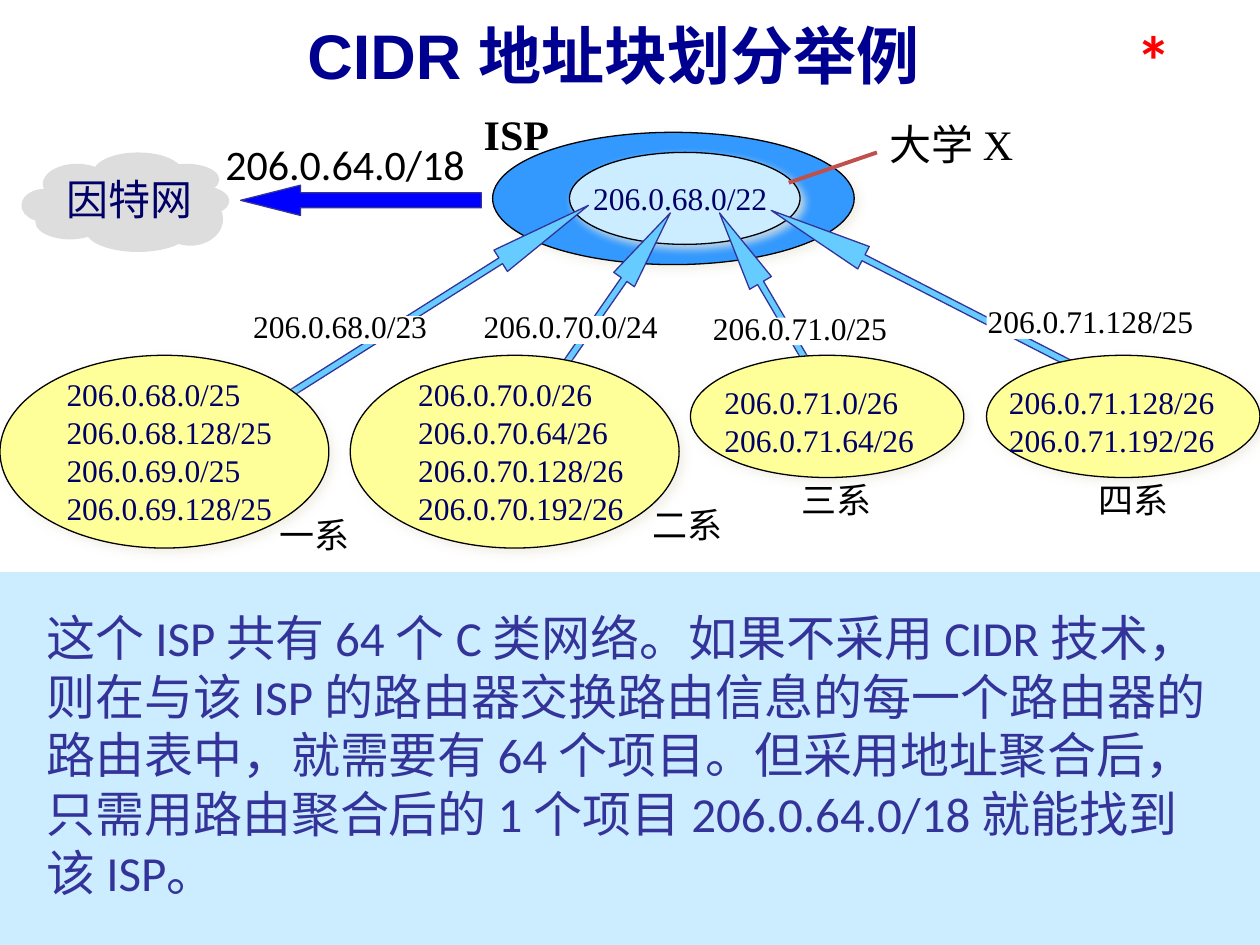
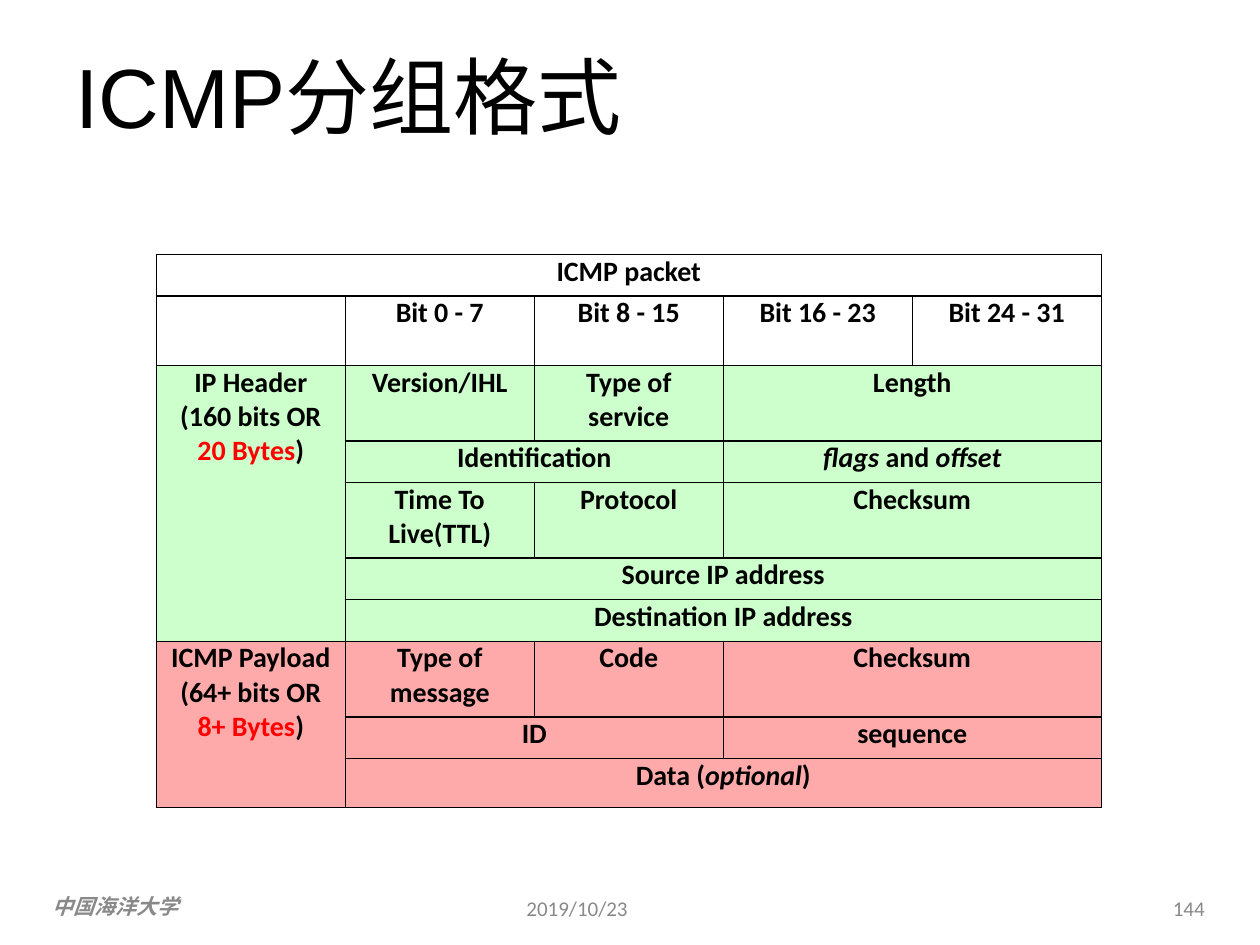
from dataclasses import dataclass
from math import atan2, degrees, hypot
from typing import NamedTuple

from lxml import etree
from pptx import Presentation
from pptx.dml.color import RGBColor
from pptx.enum.shapes import MSO_CONNECTOR, MSO_SHAPE
from pptx.enum.text import MSO_ANCHOR, MSO_AUTO_SIZE, PP_ALIGN
from pptx.oxml.ns import qn
from pptx.util import Inches, Pt

OVAL, RECT, ARROW = MSO_SHAPE.OVAL, MSO_SHAPE.RECTANGLE, MSO_SHAPE.LEFT_ARROW
LEFT, CENTER, RIGHT = PP_ALIGN.LEFT, PP_ALIGN.CENTER, PP_ALIGN.RIGHT
TOP, MIDDLE = MSO_ANCHOR.TOP, MSO_ANCHOR.MIDDLE

BLACK = RGBColor(0, 0, 0)
WHITE = RGBColor(255, 255, 255)
RED = RGBColor(255, 0, 0)
BLUE = RGBColor(0, 0, 255)
TITLE_NAVY = RGBColor(0, 0, 0x90)
NAVY = RGBColor(0, 0, 0x66)
INDIGO = RGBColor(0x33, 0x33, 0x99)
ISP_BLUE = RGBColor(0x33, 0x99, 0xFF)
PALE_BLUE = RGBColor(0xCC, 0xEC, 0xFF)
SKY = RGBColor(0x66, 0xCC, 0xFF)
YELLOW = RGBColor(0xFF, 0xFF, 0x99)
BRICK = RGBColor(0xC0, 0x50, 0x4D)
CLOUD_GREY = RGBColor(0xDD, 0xDD, 0xDD)
GREEN = RGBColor(0xCC, 0xFF, 0xCC)
PINK = RGBColor(0xFF, 0xAA, 0xAA)
FOOT_GREY = RGBColor(0x89, 0x89, 0x89)
SHADOW = "EEECE1"

SANS, SERIF, BODY = "Arial", "Times New Roman", "Calibri"

# The slide is a grid of 100 columns by 75 rows
WIDTH, HEIGHT = Inches(10), Inches(7.5)
COL, ROW = WIDTH / 100, HEIGHT / 75


class Box(NamedTuple):
    x: float
    y: float
    w: float
    h: float

    def place(self) -> tuple[int, int, int, int]:
        return (round(self.x * COL), round(self.y * ROW),
                round(self.w * COL), round(self.h * ROW))


class Point(NamedTuple):
    x: float
    y: float


@dataclass(frozen=True)
class Style:
    size: float
    color: RGBColor = BLACK
    font: str = SERIF
    bold: bool = False
    italic: bool = False


@dataclass(frozen=True)
class Department:
    name: str
    name_at: Point
    oval: Box
    block: str
    block_box: Box
    list_box: Box
    addresses: tuple[str, ...]
    tip: Point
    tail: Point
    head: float


@dataclass(frozen=True)
class Span:
    text: str
    color: RGBColor = BLACK
    italic: bool = False


@dataclass(frozen=True)
class Field:
    row: int
    col: int
    rows: int
    cols: int
    paragraphs: tuple[tuple[Span, ...], ...]
    fill: RGBColor | None = None
    inset: float = 0


ADDRESS = Style(18, NAVY)
BLOCK = Style(18)
FOOTER = Style(12, FOOT_GREY, BODY)

CLOUD_PUFFS = [
    Box(7.4, 12.1, 7.1, 3.2), Box(3.4, 13, 5.4, 3.2), Box(1.7, 15, 3.6, 2.6),
    Box(2.8, 16.2, 5.5, 2.8), Box(6.8, 16.6, 8.3, 3.4), Box(12.2, 13, 5.2, 2.5),
    Box(13, 14.7, 5.2, 2.5), Box(12.5, 15.3, 5.2, 4.2), Box(4.7, 14, 10.7, 4.2),
]

DEPARTMENTS = [
    Department("一系", Point(21.2, 40.3), Box(0, 28.2, 26.1, 15.3),
               "206.0.68.0/23", Box(19.1, 23.9, 15.8, 4), Box(4.3, 29.3, 18.3, 13),
               ("206.0.68.0/25", "206.0.68.128/25", "206.0.69.0/25", "206.0.69.128/25"),
               Point(46.7, 16.3), Point(22, 31.9), 4.12),
    Department("二系", Point(50.8, 39.5), Box(27.8, 28.2, 26.1, 15.3),
               "206.0.70.0/24", Box(37.4, 23.9, 15.8, 4), Box(32.2, 29.3, 18.3, 13),
               ("206.0.70.0/26", "206.0.70.64/26", "206.0.70.128/26", "206.0.70.192/26"),
               Point(53.2, 16.9), Point(39.8, 36.2), 3.22),
    Department("三系", Point(62.6, 37.5), Box(54.8, 28.2, 21.7, 9.7),
               "206.0.71.0/25", Box(55.6, 24, 15.8, 4), Box(56.5, 29.9, 17.1, 7),
               ("206.0.71.0/26", "206.0.71.64/26"),
               Point(57.1, 16.9), Point(69, 37.2), 3.22),
    Department("四系", Point(86.2, 37.5), Box(78.3, 28.2, 21.7, 9.7),
               "206.0.71.128/25", Box(77.4, 23.5, 18.3, 4), Box(79.1, 29.9, 18.3, 7),
               ("206.0.71.128/26", "206.0.71.192/26"),
               Point(61.2, 16.7), Point(85.6, 29.2), 4.12),
]


def lines(*texts: str) -> tuple[tuple[Span, ...], ...]:
    return tuple((Span(t),) for t in texts)


ROW_HEIGHTS = [3.3, 5.5, 6, 3.3, 6, 3.3, 3.3, 6, 3.3, 3.9]
COL_WIDTH, COLS = 15, 5
FIELDS = [
    Field(0, 0, 1, 5, lines("ICMP packet")),
    Field(1, 0, 1, 1, ()),
    *(Field(1, i + 1, 1, 1, lines(f"Bit {8 * i} - {8 * i + 7}")) for i in range(4)),
    # IP header
    Field(2, 0, 5, 1, (*lines("IP Header (160 bits OR"),
                       (Span("20 Bytes", RED), Span(")"))), GREEN, 0.15),
    Field(2, 1, 1, 1, lines("Version/IHL"), GREEN),
    Field(2, 2, 1, 1, lines("Type of", "service"), GREEN),
    Field(2, 3, 1, 2, lines("Length"), GREEN),
    Field(3, 1, 1, 2, lines("Identification"), GREEN),
    Field(3, 3, 1, 2, ((Span("flags ", italic=True), Span("and "),
                        Span("offset", italic=True)),), GREEN),
    Field(4, 1, 1, 1, lines("Time To", "Live(TTL)"), GREEN),
    Field(4, 2, 1, 1, lines("Protocol"), GREEN),
    Field(4, 3, 1, 2, lines("Checksum"), GREEN),
    Field(5, 1, 1, 4, lines("Source IP address"), GREEN),
    Field(6, 1, 1, 4, lines("Destination IP address"), GREEN),
    # ICMP payload
    Field(7, 0, 3, 1, (*lines("ICMP Payload (64+ bits OR"),
                       (Span("8+ Bytes", RED), Span(")"))), PINK),
    Field(7, 1, 1, 1, lines("Type of", "message"), PINK),
    Field(7, 2, 1, 1, lines("Code"), PINK),
    Field(7, 3, 1, 2, lines("Checksum"), PINK),
    Field(8, 1, 1, 2, lines("ID"), PINK),
    Field(8, 3, 1, 2, lines("sequence"), PINK),
    Field(9, 1, 1, 4, ((Span("Data ("), Span("optional", italic=True), Span(")")),), PINK),
]


# Shared drawing functions
def format_run(r, style: Style) -> None:
    f = r.font
    f.name, f.size, f.bold, f.italic = style.font, Pt(style.size), style.bold, style.italic
    f.color.rgb = style.color


def fill_text(tf, text: str, style: Style, align=LEFT, anchor=TOP) -> None:
    tf.text = text
    tf.vertical_anchor = anchor
    for p in tf.paragraphs:
        p.alignment = align
        for r in p.runs:
            format_run(r, style)


def add_title(slide, text: str, box: Box, style: Style, align, anchor) -> None:
    sp = slide.shapes.title
    sp.left, sp.top, sp.width, sp.height = box.place()
    sp.text_frame.auto_size = MSO_AUTO_SIZE.NONE
    fill_text(sp.text_frame, text, style, align, anchor)


def add_text(slide, text: str, box: Box, style: Style, align=LEFT, anchor=TOP,
             wrap: bool = False, inset: bool = True) -> None:
    tf = slide.shapes.add_textbox(*box.place()).text_frame
    tf.word_wrap = wrap
    if not inset:
        tf.margin_left = tf.margin_right = tf.margin_top = tf.margin_bottom = 0
    fill_text(tf, text, style, align, anchor)


def add_shape(slide, kind, box: Box, fill: RGBColor, line: RGBColor | None = None):
    sp = slide.shapes.add_shape(kind, *box.place())
    sp.shadow.inherit = False
    sp.fill.solid()
    sp.fill.fore_color.rgb = fill
    if line is None:
        sp.line.fill.background()
    else:
        sp.line.color.rgb, sp.line.width = line, Pt(0.75)
    return sp


def add_shadowed_oval(slide, box: Box, fill: RGBColor) -> None:
    sp = add_shape(slide, OVAL, box, fill, BLACK)
    effects = sp._element.spPr.find(qn("a:effectLst"))
    shadow = etree.SubElement(effects, qn("a:outerShdw"), blurRad=str(Pt(5)),
                              dist=str(Pt(3)), dir=str(45 * 60000))
    color = etree.SubElement(shadow, qn("a:srgbClr"), val=SHADOW)
    etree.SubElement(color, qn("a:alpha"), val="75000")


def add_block_arrow(slide, tip: Point, tail: Point, head: float) -> None:
    dx, dy = tail.x - tip.x, tail.y - tip.y
    length, thick = hypot(dx, dy), 2
    box = Box((tip.x + tail.x - length) / 2, (tip.y + tail.y - thick) / 2, length, thick)
    sp = add_shape(slide, ARROW, box, SKY, INDIGO)
    sp.adjustments[0], sp.adjustments[1] = 0.27, head
    sp.rotation = degrees(atan2(dy, dx))


def add_line(slide, start: Point, end: Point, color: RGBColor, width: float) -> None:
    ends = [round(v) for p in (start, end) for v in (p.x * COL, p.y * ROW)]
    cx = slide.shapes.add_connector(MSO_CONNECTOR.STRAIGHT, *ends)
    cx.line.color.rgb, cx.line.width = color, Pt(width)
    etree.SubElement(cx._element.spPr, qn("a:effectLst"))


def format_cell(cell, fill: RGBColor | None) -> None:
    tc_pr = cell._tc.get_or_add_tcPr()
    for side in ("a:lnL", "a:lnR", "a:lnT", "a:lnB"):
        ln = etree.SubElement(tc_pr, qn(side), w=str(Pt(1)))
        etree.SubElement(etree.SubElement(ln, qn("a:solidFill")),
                         qn("a:srgbClr"), val=str(BLACK))
    if fill is None:
        cell.fill.background()
    else:
        cell.fill.solid()
        cell.fill.fore_color.rgb = fill


def add_field(table, field: Field) -> None:
    last_row, last_col = field.row + field.rows - 1, field.col + field.cols - 1
    for row in range(field.row, last_row + 1):
        for col in range(field.col, last_col + 1):
            format_cell(table.cell(row, col), field.fill)
    cell = table.cell(field.row, field.col)
    if field.rows * field.cols > 1:
        cell.merge(table.cell(last_row, last_col))
    cell.margin_left = cell.margin_right = Inches(field.inset)
    cell.margin_top = cell.margin_bottom = 0
    tf = cell.text_frame
    for i, spans in enumerate(field.paragraphs):
        p = tf.add_paragraph() if i else tf.paragraphs[0]
        p.alignment = CENTER
        for span in spans:
            r = p.add_run()
            r.text = span.text
            format_run(r, Style(16, span.color, BODY, True, span.italic))


# Slides
def build_cidr(slide) -> None:
    add_title(slide, "CIDR 地址块划分举例", Box(6.7, 0.5, 84, 7.6),
              Style(36, TITLE_NAVY, SANS, True), CENTER, MIDDLE)
    add_text(slide, "*", Box(89.2, 0.8, 5, 7.7), Style(40, RED, BODY, True), wrap=True)

    # Internet cloud
    for puff in CLOUD_PUFFS:
        add_shape(slide, OVAL, puff, CLOUD_GREY)
    add_text(slide, "因特网", Box(4.3, 13.3, 12, 5), Style(24, NAVY))

    # ISP and university
    add_shadowed_oval(slide, Box(39.1, 10.5, 28.7, 10.5), ISP_BLUE)
    add_shadowed_oval(slide, Box(45.2, 12.1, 18.3, 7.3), PALE_BLUE)
    add_text(slide, "206.0.68.0/22", Box(46.1, 13.7, 15.8, 4), ADDRESS)
    add_text(slide, "206.0.64.0/18", Box(16.9, 10.5, 22.4, 5), Style(24, font=BODY))
    uplink = add_shape(slide, ARROW, Box(19.1, 14.7, 19.1, 2.4), BLUE, INDIGO)
    uplink.adjustments[0], uplink.adjustments[1] = 0.5, 1.98
    add_text(slide, "ISP", Box(37.4, 8.1, 7.2, 5), Style(24, bold=True))
    add_text(slide, "大学 X", Box(69.6, 8.9, 11.9, 5), Style(24), wrap=True)
    add_line(slide, Point(62.6, 14.5), Point(69.6, 12.1), BRICK, 2.25)

    # Departments
    for d in DEPARTMENTS:
        add_block_arrow(slide, d.tip, d.tail, d.head)
    for d in DEPARTMENTS:
        add_shadowed_oval(slide, d.oval, YELLOW)
        add_text(slide, "\n".join(d.addresses), d.list_box, ADDRESS)
        b = d.block_box
        add_shape(slide, RECT, Box(b.x + 0.9, b.y + 1.2, b.w - 1.1, 2.2), WHITE)
        add_text(slide, d.block, b, BLOCK)
        add_text(slide, d.name, Box(*d.name_at, 7.6, 4.3), Style(20))

    # Explanation band
    add_shape(slide, RECT, Box(0, 45.4, 100, 29.6), PALE_BLUE)
    add_text(slide, "这个 ISP 共有 64 个 C 类网络。如果不采用 CIDR 技术，则在与该 ISP 的路由器交换"
             "路由信息的每一个路由器的路由表中，就需要有 64 个项目。但采用地址聚合后，"
             "只需用路由聚合后的 1 个项目 206.0.64.0/18 就能找到该 ISP。",
             Box(2.7, 47.7, 94.9, 24.4), Style(28, INDIGO, BODY), wrap=True)


def build_icmp(slide) -> None:
    add_title(slide, "ICMP分组格式", Box(5, 3, 90, 12.5), Style(48, BLACK, SANS), LEFT, TOP)

    # Packet layout
    box = Box(12.4, 20.2, COLS * COL_WIDTH, sum(ROW_HEIGHTS))
    table = slide.shapes.add_table(len(ROW_HEIGHTS), COLS, *box.place()).table
    table.first_row = table.horz_banding = False
    for column in table.columns:
        column.width = round(COL_WIDTH * COL)
    for row, height in zip(table.rows, ROW_HEIGHTS):
        row.height = round(height * ROW)
    for field in FIELDS:
        add_field(table, field)

    # Footer
    add_text(slide, "中国海洋大学", Box(4.2, 70.9, 20.8, 2),
             Style(12, FOOT_GREY, SANS, True, True), inset=False)
    add_text(slide, "2019/10/23", Box(40.8, 70.1, 23.3, 4), FOOTER, LEFT, MIDDLE, True)
    add_text(slide, "144", Box(73.3, 70.1, 23.3, 4), FOOTER, RIGHT, MIDDLE, True)


def main() -> None:
    prs = Presentation()
    prs.slide_width, prs.slide_height = WIDTH, HEIGHT
    title_only = prs.slide_layouts[5]
    for build in (build_cidr, build_icmp):
        build(prs.slides.add_slide(title_only))
    prs.save("out.pptx")


if __name__ == "__main__":
    main()
